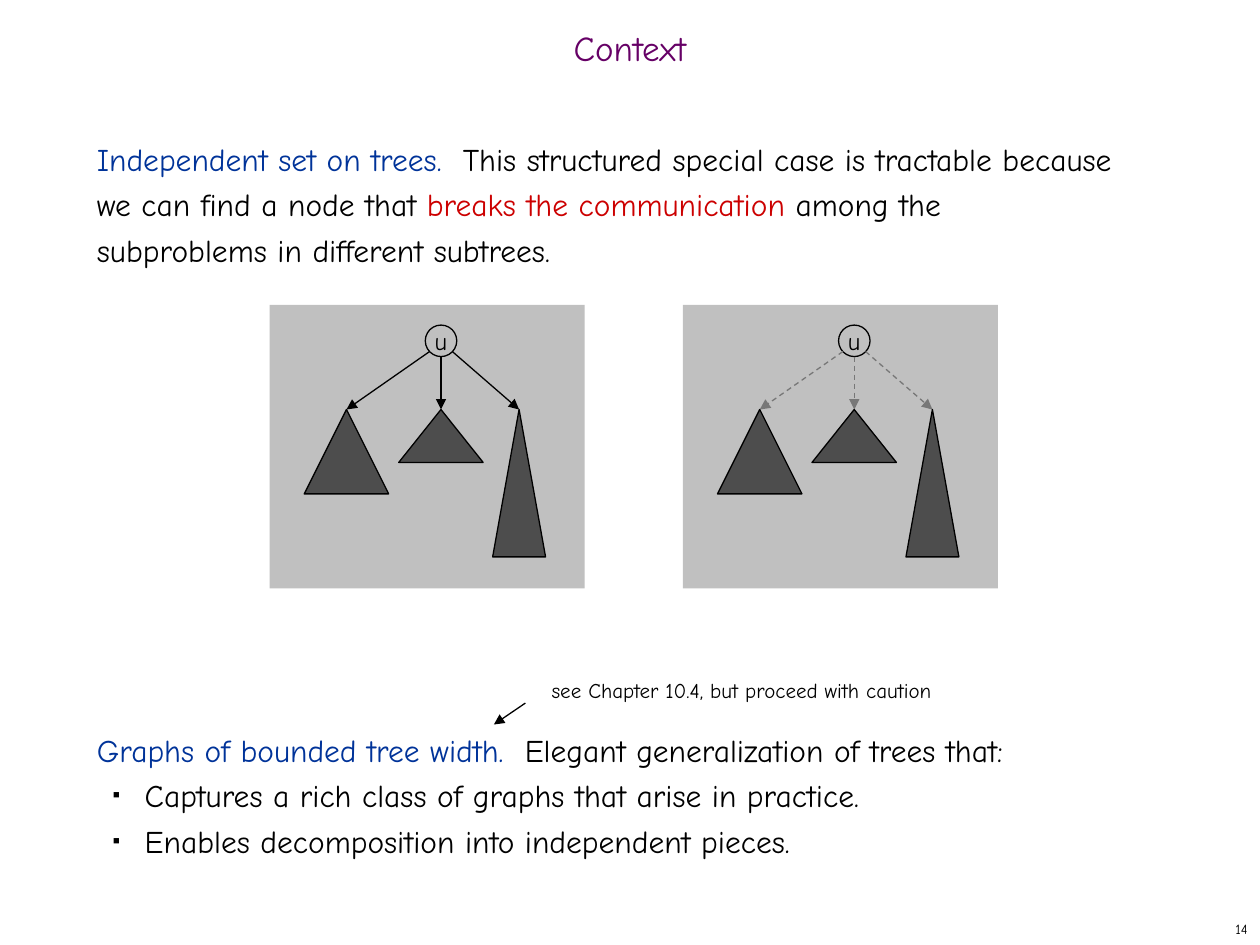
import pptx
import pptx.util
import pptx.dml.color
import pptx.enum.dml
import pptx.enum.shapes
import pptx.enum.text
import pptx.oxml.ns
from lxml import etree

Inches, Pt = pptx.util.Inches, pptx.util.Pt
RGBColor = pptx.dml.color.RGBColor
MSO_SHAPE = pptx.enum.shapes.MSO_SHAPE
PP_ALIGN = pptx.enum.text.PP_ALIGN
MSO_ANCHOR = pptx.enum.text.MSO_ANCHOR
qn = pptx.oxml.ns.qn

FONT = "Comic Neue"
BLACK = RGBColor(0x00, 0x00, 0x00)
PURPLE = RGBColor(0x66, 0x00, 0x66)
BLUE = RGBColor(0x00, 0x33, 0x99)
RED = RGBColor(0xCC, 0x00, 0x00)
PANEL_GRAY = RGBColor(0xC0, 0xC0, 0xC0)
TREE_GRAY = RGBColor(0x4D, 0x4D, 0x4D)
EDGE_GRAY = RGBColor(0x77, 0x77, 0x77)

# Each paragraph is a list of (text, colour) runs
TITLE = [[("Context", PURPLE)]]
TREES = [
    [("Independent set on trees.  ", BLUE),
     ("This structured special case is tractable because we can find a node that ", BLACK),
     ("breaks the communication", RED),
     (" among the", BLACK)],
    [("subproblems in different subtrees.", BLACK)],
]
WIDTH = [
    [("Graphs of bounded tree width.  ", BLUE),
     ("Elegant generalization of trees that:", BLACK)],
    [("Captures a rich class of graphs that arise in practice.", BLACK)],
    [("Enables decomposition into independent pieces.", BLACK)],
]
NOTE = [[("see Chapter 10.4, but proceed with caution", BLACK)]]
PAGE = [[("14", BLACK)]]

# Panels: (left, edge colour, dashed)
PANELS = [(2.14, BLACK, False), (5.42, EDGE_GRAY, True)]
PANEL_TOP, PANEL_W, PANEL_H = 2.42, 2.5, 2.25
NODE_X, NODE_TOP, NODE_SIZE = 1.36, 2.58, 0.25   # NODE_X is relative to the panel
ROOT_Y = 3.25
# Subtrees: (apex x relative to panel, width, height, edge start dx and y)
SUBTREES = [
    (0.61, 0.67, 0.67, -0.09, 2.79),
    (1.36, 0.67, 0.42, 0, 2.83),
    (1.98, 0.42, 1.17, 0.09, 2.79),
]


def write(tf, paragraphs, size, align=PP_ALIGN.LEFT, spacing=None):
    for i, runs in enumerate(paragraphs):
        p = tf.paragraphs[0] if i == 0 else tf.add_paragraph()
        p.alignment = align
        if spacing:
            p.line_spacing = spacing
        for text, color in runs:
            r = p.add_run()
            r.text = text
            r.font.name = FONT
            r.font.size = Pt(size)
            r.font.color.rgb = color


def add_text(slide, box, paragraphs, size, align=PP_ALIGN.LEFT,
             anchor=MSO_ANCHOR.TOP, spacing=None, wrap=True):
    tf = slide.shapes.add_textbox(*map(Inches, box)).text_frame
    tf.word_wrap = wrap
    tf.vertical_anchor = anchor
    write(tf, paragraphs, size, align, spacing)
    return tf


def add_bullet(p):
    pPr = p._p.get_or_add_pPr()
    pPr.set("marL", str(Inches(0.38)))
    pPr.set("indent", str(Inches(-0.25)))
    color = etree.SubElement(pPr, qn("a:buClr"))
    etree.SubElement(color, qn("a:srgbClr"), val=str(BLACK))
    etree.SubElement(pPr, qn("a:buSzPct"), val="35000")
    etree.SubElement(pPr, qn("a:buFont"), typeface="Arial")
    etree.SubElement(pPr, qn("a:buChar"), char="■")


def add_shape(slide, kind, box, fill, outlined=True):
    sp = slide.shapes.add_shape(kind, *map(Inches, box))
    sp.shadow.inherit = False
    sp.fill.solid()
    sp.fill.fore_color.rgb = fill
    if outlined:
        sp.line.color.rgb = BLACK
        sp.line.width = Pt(0.75)
    else:
        sp.line.fill.background()
    return sp


def add_arrow(slide, start, end, color=BLACK, dashed=False):
    line = slide.shapes.add_connector(
        pptx.enum.shapes.MSO_CONNECTOR.STRAIGHT, *map(Inches, start + end))
    line.line.color.rgb = color
    line.line.width = Pt(0.75)
    if dashed:
        line.line.dash_style = pptx.enum.dml.MSO_LINE.DASH
    etree.SubElement(line.line._get_or_add_ln(), qn("a:tailEnd"), type="triangle")
    etree.SubElement(line._element.spPr, qn("a:effectLst"))


def add_tree_panel(slide, left, edge_color, dashed):
    add_shape(slide, MSO_SHAPE.RECTANGLE, (left, PANEL_TOP, PANEL_W, PANEL_H),
              PANEL_GRAY, outlined=False)
    center = left + NODE_X
    node = add_shape(slide, MSO_SHAPE.OVAL,
                     (center - NODE_SIZE / 2, NODE_TOP, NODE_SIZE, NODE_SIZE), PANEL_GRAY)
    tf = node.text_frame
    tf.word_wrap = False
    tf.vertical_anchor = MSO_ANCHOR.MIDDLE
    write(tf, [[("u", BLACK)]], 14, PP_ALIGN.CENTER)
    for apex, w, h, dx, y in SUBTREES:
        x = left + apex
        add_arrow(slide, (center + dx, y), (x, ROOT_Y), edge_color, dashed)
        add_shape(slide, MSO_SHAPE.ISOSCELES_TRIANGLE, (x - w / 2, ROOT_Y, w, h), TREE_GRAY)


def main():
    prs = pptx.Presentation()
    prs.slide_width, prs.slide_height = Inches(10), Inches(7.5)
    slide = prs.slides.add_slide(prs.slide_layouts[6])

    add_text(slide, (0, 0.17, 10, 0.5), TITLE, 20, PP_ALIGN.CENTER,
             MSO_ANCHOR.MIDDLE, spacing=0.7)
    add_text(slide, (0.67, 1, 8.58, 1.2), TREES, 18, spacing=Pt(26))
    body = add_text(slide, (0.67, 5.69, 8.58, 1.23), WIDTH, 18, spacing=Pt(26))
    for p in body.paragraphs[1:]:
        add_bullet(p)

    for panel in PANELS:
        add_tree_panel(slide, *panel)

    add_text(slide, (4.28, 5.33, 3.23, 0.3), NOTE, 12, wrap=False)
    add_arrow(slide, (4.17, 5.58), (3.92, 5.75))
    add_text(slide, (7.92, 7.25, 2.08, 0.25), PAGE, 8, PP_ALIGN.RIGHT, MSO_ANCHOR.MIDDLE)
    prs.save("out.pptx")


if __name__ == "__main__":
    main()
